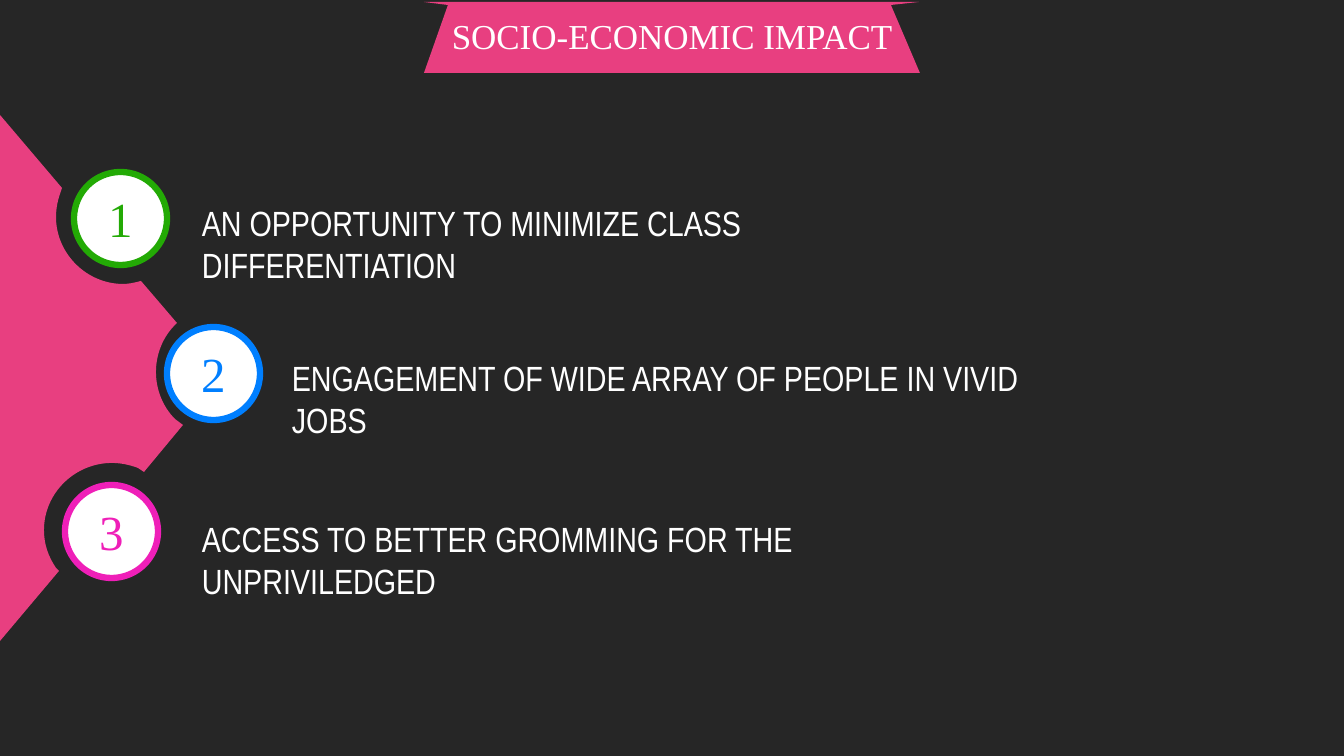
from lxml import etree
from pptx import Presentation
from pptx import util as u
from pptx.dml.color import RGBColor
from pptx.enum import shapes, text
from pptx.oxml import ns

PX = 914400 / 100.8
COLORS = {
    "background": "262626",
    "pink": "E83F80",
    "white": "FFFFFF",
    "green": "23AA05",
    "blue": "007FFF",
    "magenta": "EF1FB8",
}
SERIF, NARROW = "Times New Roman", "Arial Narrow"
BADGE_SIZE = 93

# One point is a straight step; three points are a curve
BANNER = [[(448, 5)], [(424, 2)], [(919, 2)], [(891, 5)], [(920, 73)], [(424, 73)]]
ARROW_PANEL = [
    [(0, 115)], [(62, 188)], [(61, 191)],
    [(58, 199), (56, 208), (56, 217)],
    [(56, 254), (87, 284), (123, 284)],
    [(128, 284), (133, 283), (137, 282)],
    [(141, 281)], [(177, 323)], [(175, 325)],
    [(163, 337), (156, 354), (156, 372)],
    [(156, 390), (163, 407), (175, 419)],
    [(183, 425)], [(144, 472)], [(138, 468)],
    [(130, 465), (121, 463), (112, 463)],
    [(75, 463), (44, 493), (44, 530)],
    [(44, 544), (48, 556), (56, 568)],
    [(59, 571)], [(0, 641)],
]
# Colour, badge left and top, text left, top and width, wording
IMPACTS = [
    ("green", (74, 172), (192, 197, 766),
     "AN OPPORTUNITY TO MINIMIZE CLASS DIFFERENTIATION"),
    ("blue", (167, 327), (282, 352, 752),
     "ENGAGEMENT OF WIDE ARRAY OF PEOPLE IN VIVID JOBS"),
    ("magenta", (65, 485), (192, 513, 783),
     "ACCESS TO BETTER GROMMING FOR THE UNPRIVILEDGED"),
]


def px(length):
    return u.Emu(round(length * PX))


def color(name):
    return RGBColor.from_string(COLORS[name])


def paint(shape, fill):
    shape.shadow.inherit = False
    shape.fill.solid()
    shape.fill.fore_color.rgb = color(fill)


def add_outline(page, steps, fill):
    """Draw all points as straight steps, then join each three-point step into a curve."""
    corners = [(px(x), px(y)) for step in steps for x, y in step]
    builder = page.shapes.build_freeform(*corners[0], scale=1.0)
    builder.add_line_segments(corners[1:], close=True)
    outline = builder.convert_to_shape()
    paint(outline, fill)
    outline.line.fill.background()

    lines = iter(outline._element.findall(".//" + ns.qn("a:lnTo")))
    for step in steps[1:]:
        parts = [next(lines) for _ in step]
        if len(parts) == 3:
            curve = etree.Element(ns.qn("a:cubicBezTo"))
            parts[0].addprevious(curve)
            for part in parts:
                curve.append(part[0])
                part.getparent().remove(part)


def add_label(page, place, wording, font, size, ink, centred=False, wrap=True):
    box = page.shapes.add_textbox(*map(px, place))
    frame = box.text_frame
    frame.text = wording
    frame.word_wrap = wrap
    para = frame.paragraphs[0]
    para.alignment = text.PP_ALIGN.CENTER if centred else text.PP_ALIGN.LEFT
    span = para.runs[0]
    span.font.name = font
    span.font.size = u.Pt(size)
    span.font.color.rgb = color(ink)


def add_badge(page, number, left, top, ink):
    circle = page.shapes.add_shape(
        shapes.MSO_SHAPE.OVAL, px(left), px(top), px(BADGE_SIZE), px(BADGE_SIZE))
    paint(circle, "white")
    circle.line.color.rgb = color(ink)
    circle.line.width = u.Pt(4.5)
    add_label(page, (left + 24, top + 12, 45, 70), str(number), SERIF, 35, ink,
              centred=True, wrap=False)


def main():
    deck = Presentation()
    deck.slide_width, deck.slide_height = px(1344), px(756)
    page = deck.slides.add_slide(deck.slide_layouts[6])
    page.background.fill.solid()
    page.background.fill.fore_color.rgb = color("background")

    add_outline(page, BANNER, "pink")
    add_label(page, (372, 10, 600, 52), "SOCIO-ECONOMIC IMPACT",
              SERIF, 25, "white", centred=True)
    add_outline(page, ARROW_PANEL, "pink")
    for number, (ink, badge, (left, top, width), wording) in enumerate(IMPACTS, 1):
        add_badge(page, number, *badge, ink)
        add_label(page, (left, top, width, 52), wording, NARROW, 25, "white")

    deck.save("out.pptx")


if __name__ == "__main__":
    main()
